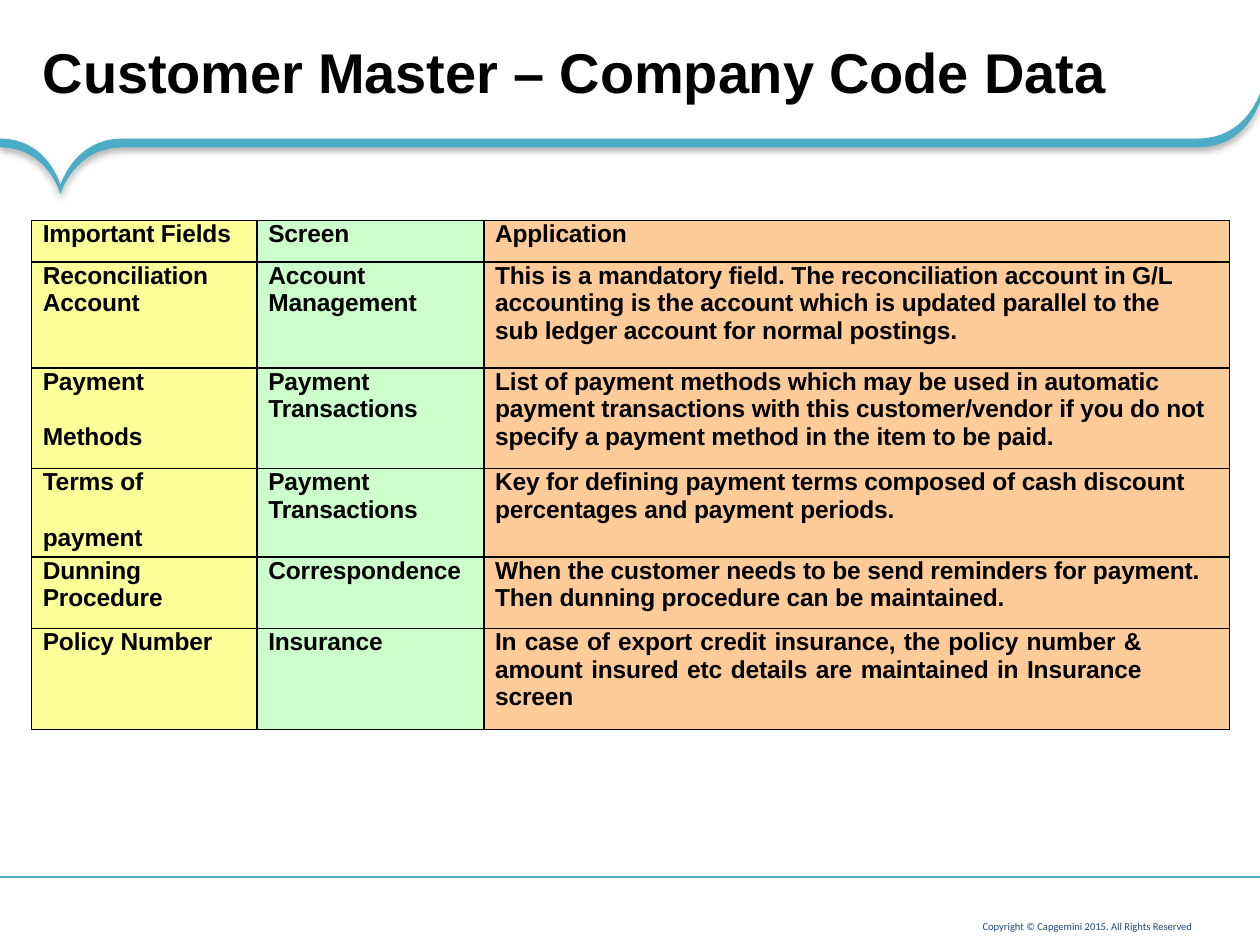
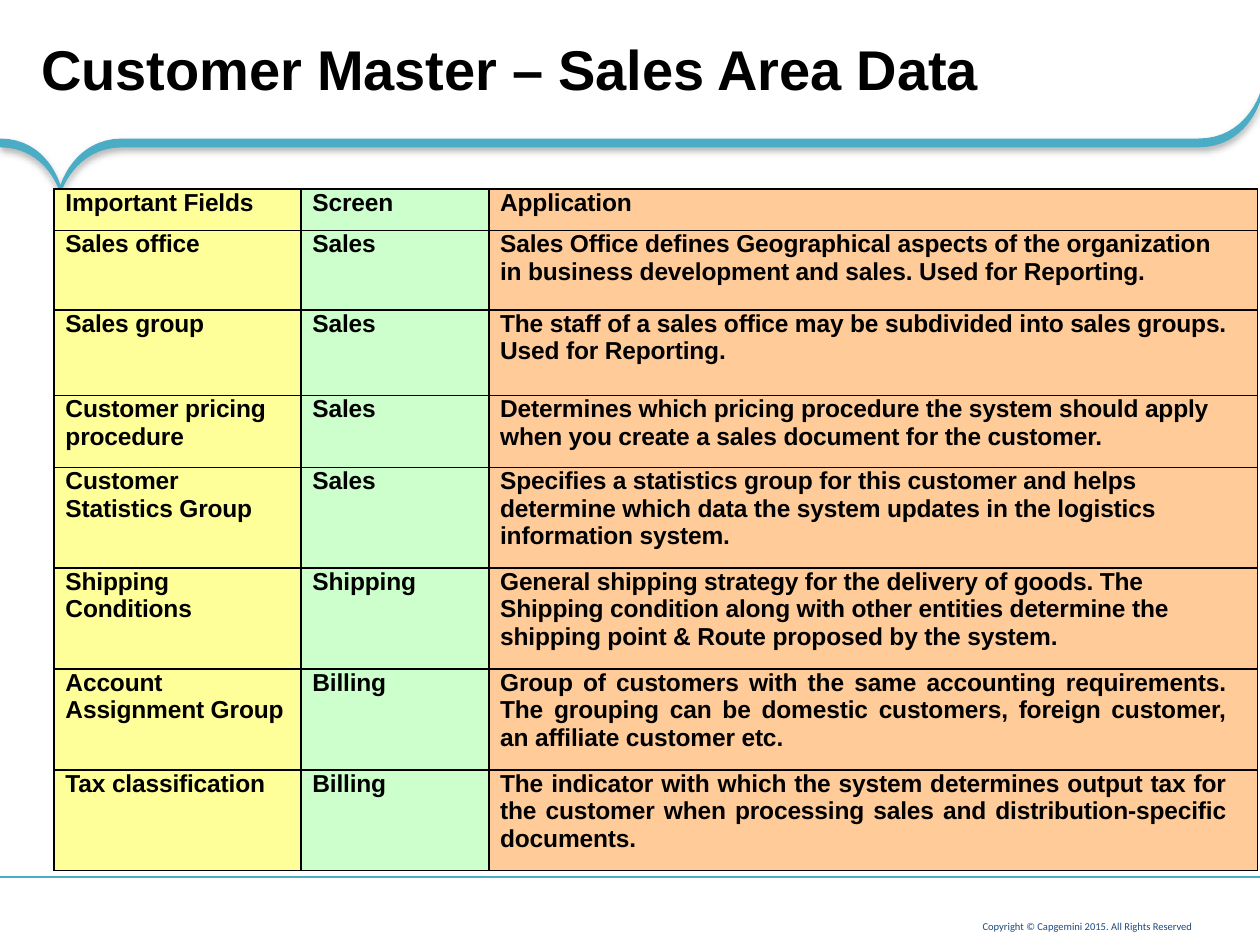
import pptx
import pptx.dml.color
import pptx.enum.shapes
import pptx.enum.text
import pptx.oxml
import pptx.oxml.ns
import pptx.util
from lxml import etree

Inches = pptx.util.Inches
Pt = pptx.util.Pt
qn = pptx.oxml.ns.qn
PP_ALIGN = pptx.enum.text.PP_ALIGN
ANCHOR = pptx.enum.text.MSO_ANCHOR

BLACK, TEAL, NAVY = "000000", "4BACC6", "1F497D"
COLUMN_FILLS = ["FFFF99", "CCFFCC", "FFCC99"]
HEADER = ["Important Fields", "Screen", "Application"]
COPYRIGHT = "Copyright © Capgemini 2015. All Rights Reserved"

# Band outline: start point, then cubic curves (a pair of points is a straight edge)
BAND_START = (9.51, 1.1)
BAND_CURVES = [
    [(0.97, 1.1)],
    [(0.59, 1.1), (0.48, 1.47), (0.48, 1.47)],
    [(0.48, 1.47), (0.38, 1.1), (0, 1.1)],
    [(0, 1.17)],
    [(0.38, 1.17), (0.48, 1.54), (0.48, 1.54)],
    [(0.48, 1.54), (0.59, 1.17), (0.97, 1.17)],
    [(9.51, 1.17)],
    [(9.89, 1.17), (10, 0.81), (10, 0.81)],
    [(10, 0.74)],
    [(10, 0.74), (9.89, 1.1), (9.51, 1.1)],
]

# In cells, \v breaks a line and \n starts a spaced paragraph
COMPANY_ROWS = [
    HEADER,
    ["Reconciliation\vAccount", "Account\vManagement",
     "This is a mandatory field. The reconciliation account in G/L\v"
     "accounting is the account which is updated parallel to the\v"
     "sub ledger account for normal postings."],
    ["Payment\nMethods", "Payment\vTransactions",
     "List of payment methods which may be used in automatic\v"
     "payment transactions with this customer/vendor if you do not\v"
     "specify a payment method in the item to be paid."],
    ["Terms of\npayment", "Payment\vTransactions",
     "Key for defining payment terms composed of cash discount\v"
     "percentages and payment periods."],
    ["Dunning\vProcedure", "Correspondence",
     "When the customer needs to be send reminders for payment.\v"
     "Then dunning procedure can be maintained."],
    ["Policy Number", "Insurance",
     "In case of export credit insurance, the policy number & "
     "amount insured etc details are maintained in Insurance screen"],
]
SALES_ROWS = [
    HEADER,
    ["Sales office", "Sales",
     "Sales Office defines Geographical aspects of the organization\v"
     "in business development and sales. Used for Reporting."],
    ["Sales group", "Sales",
     "The staff of a sales office may be subdivided into sales groups.\v"
     "Used for Reporting."],
    ["Customer pricing\vprocedure", "Sales",
     "Determines which pricing procedure the system should apply\v"
     "when you create a sales document for the customer."],
    ["Customer\vStatistics Group", "Sales",
     "Specifies a statistics group for this customer and helps\v"
     "determine which data the system updates in the logistics\v"
     "information system."],
    ["Shipping\vConditions", "Shipping",
     "General shipping strategy for the delivery of goods. The\v"
     "Shipping condition along with other entities determine the\v"
     "shipping point & Route proposed by the system."],
    ["Account\vAssignment Group", "Billing",
     "Group of customers with the same accounting requirements. "
     "The grouping can be domestic customers, foreign customer, "
     "an affiliate customer etc."],
    ["Tax classification", "Billing",
     "The indicator with which the system determines output tax for "
     "the customer when processing sales and distribution-specific "
     "documents."],
]


def rgb(value):
    return pptx.dml.color.RGBColor.from_string(value)


def sub(parent, tag, **attrs):
    return etree.SubElement(parent, qn(tag), attrs)


def set_margins(box, left=0, top=0, right=0, bottom=0):
    box.margin_left, box.margin_top = Inches(left), Inches(top)
    box.margin_right, box.margin_bottom = Inches(right), Inches(bottom)


def add_run(p, text, size, color=BLACK, font="Arial", bold=True, spacing=-10):
    r = p.add_run()
    r.text = text
    r.font.size, r.font.name, r.font.bold = Pt(size), font, bold
    r.font.color.rgb = rgb(color)
    if spacing:
        r.font._element.set("spc", str(spacing))


def curve_points(start, curve, steps=16):
    if len(curve) == 1:
        return curve
    points = [start] + curve
    result = []
    for i in range(1, steps + 1):
        t = i / steps
        weights = [(1 - t) ** 3, 3 * t * (1 - t) ** 2, 3 * t * t * (1 - t), t ** 3]
        result.append(tuple(sum(w * pt[axis] for w, pt in zip(weights, points))
                            for axis in (0, 1)))
    return result


def add_band(slide):
    outline = [BAND_START]
    for curve in BAND_CURVES:
        outline += curve_points(outline[-1], curve)
    outline = [(Inches(x), Inches(y)) for x, y in outline]
    builder = slide.shapes.build_freeform(*outline[0], scale=1.0)
    builder.add_line_segments(outline[1:], close=True)
    sp = builder.convert_to_shape()
    sp.fill.solid()
    sp.fill.fore_color.rgb = rgb(TEAL)
    sp.line.fill.background()
    # Soft shadow straight below
    sp.shadow.inherit = False
    effects = sp.element.spPr.find(qn("a:effectLst"))
    shadow = sub(effects, "a:outerShdw", blurRad=str(Pt(4)), dist=str(Pt(2)),
                 dir="5400000", rotWithShape="0")
    sub(sub(shadow, "a:srgbClr", val=BLACK), "a:alpha", val="31000")
    return sp


def add_footer_line(slide):
    line = slide.shapes.add_connector(pptx.enum.shapes.MSO_CONNECTOR.STRAIGHT,
                                      Inches(10), Inches(6.96), 0, Inches(6.96))
    line.line.color.rgb = rgb(TEAL)
    line.line.width = Pt(0.75)
    sub(line.element.spPr, "a:effectLst")
    return line


def add_copyright(slide):
    sp = slide.shapes.add_textbox(Inches(6.81), Inches(7.24), Inches(2.69), Inches(0.2))
    tf = sp.text_frame
    tf.word_wrap = True
    tf.vertical_anchor = ANCHOR.BOTTOM
    set_margins(tf, 0.04, 0.04, 0.04, 0.04)
    p = tf.paragraphs[0]
    p.alignment, p.line_spacing = PP_ALIGN.RIGHT, 0.9
    add_run(p, COPYRIGHT, 6, NAVY, "Calibri", bold=False, spacing=0)
    return sp


def furnish_layout(layout, slide):
    """Draw the shared parts, then move them to the layout."""
    for add_part in (add_band, add_footer_line, add_copyright):
        layout.shapes.element.append(add_part(slide).element)


def set_title(slide, text, left, top, width):
    sp = slide.shapes.title
    sp.left, sp.top = Inches(left), Inches(top)
    sp.width, sp.height = Inches(width), Inches(0.54)
    tf = sp.text_frame
    tf.word_wrap = True
    tf.vertical_anchor = ANCHOR.TOP
    set_margins(tf, left=0.01)
    p = tf.paragraphs[0]
    p.alignment = PP_ALIGN.LEFT
    add_run(p, text, 32)


def add_borders(cell):
    tcPr = cell._tc.get_or_add_tcPr()
    for i, side in enumerate(("a:lnL", "a:lnR", "a:lnT", "a:lnB")):
        ln = etree.Element(qn(side), w=str(Pt(1)))
        sub(sub(ln, "a:solidFill"), "a:srgbClr", val=BLACK)
        tcPr.insert(i, ln)


def fill_cell(cell, text, fill, justify_margin=None):
    cell.fill.solid()
    cell.fill.fore_color.rgb = rgb(fill)
    cell.vertical_anchor = ANCHOR.TOP
    set_margins(cell, left=0.09, right=justify_margin or 0)
    add_borders(cell)
    tf = cell.text_frame
    for i, paragraph in enumerate(text.split("\n")):
        p = tf.add_paragraph() if i else tf.paragraphs[0]
        if i:
            p.space_before = Pt(16)
        p.alignment = PP_ALIGN.JUSTIFY if justify_margin else PP_ALIGN.LEFT
        for j, line in enumerate(paragraph.split("\v")):
            if j:
                p.add_line_break()
            add_run(p, line, 14)


def add_field_table(slide, rows, left, top, widths, heights, justified):
    """justified maps a row number to the right margin of its justified text."""
    frame = slide.shapes.add_table(len(rows), len(widths), Inches(left), Inches(top),
                                   Inches(sum(widths)), Inches(sum(heights)))
    table = frame.table
    table.first_row = table.horz_banding = False
    for column, width in zip(table.columns, widths):
        column.width = Inches(width)
    for i, (texts, height) in enumerate(zip(rows, heights)):
        table.rows[i].height = Inches(height)
        for j, (text, fill) in enumerate(zip(texts, COLUMN_FILLS)):
            margin = justified.get(i) if j == 2 else None
            fill_cell(table.cell(i, j), text, fill, margin)


def main():
    prs = pptx.Presentation()
    prs.slide_width, prs.slide_height = Inches(10), Inches(7.5)
    layout = prs.slide_layouts[5]

    # Company code data
    slide = prs.slides.add_slide(layout)
    furnish_layout(layout, slide)
    set_title(slide, "Customer Master – Company Code Data", 0.33, 0.3, 9.56)
    add_field_table(slide, COMPANY_ROWS, 0.25, 1.75, [1.79, 1.8, 5.92],
                    [0.33, 0.84, 0.8, 0.7, 0.57, 0.8], {5: 0.7})

    # Sales area data
    slide = prs.slides.add_slide(layout)
    set_title(slide, "Customer Master – Sales Area Data", 0.32, 0.27, 9.37)
    add_field_table(slide, SALES_ROWS, 0.43, 1.5, [1.96, 1.49, 6.1],
                    [0.33, 0.63, 0.68, 0.57] + [0.8] * 4, {6: 0.25, 7: 0.25})

    prs.save("out.pptx")


if __name__ == "__main__":
    main()
